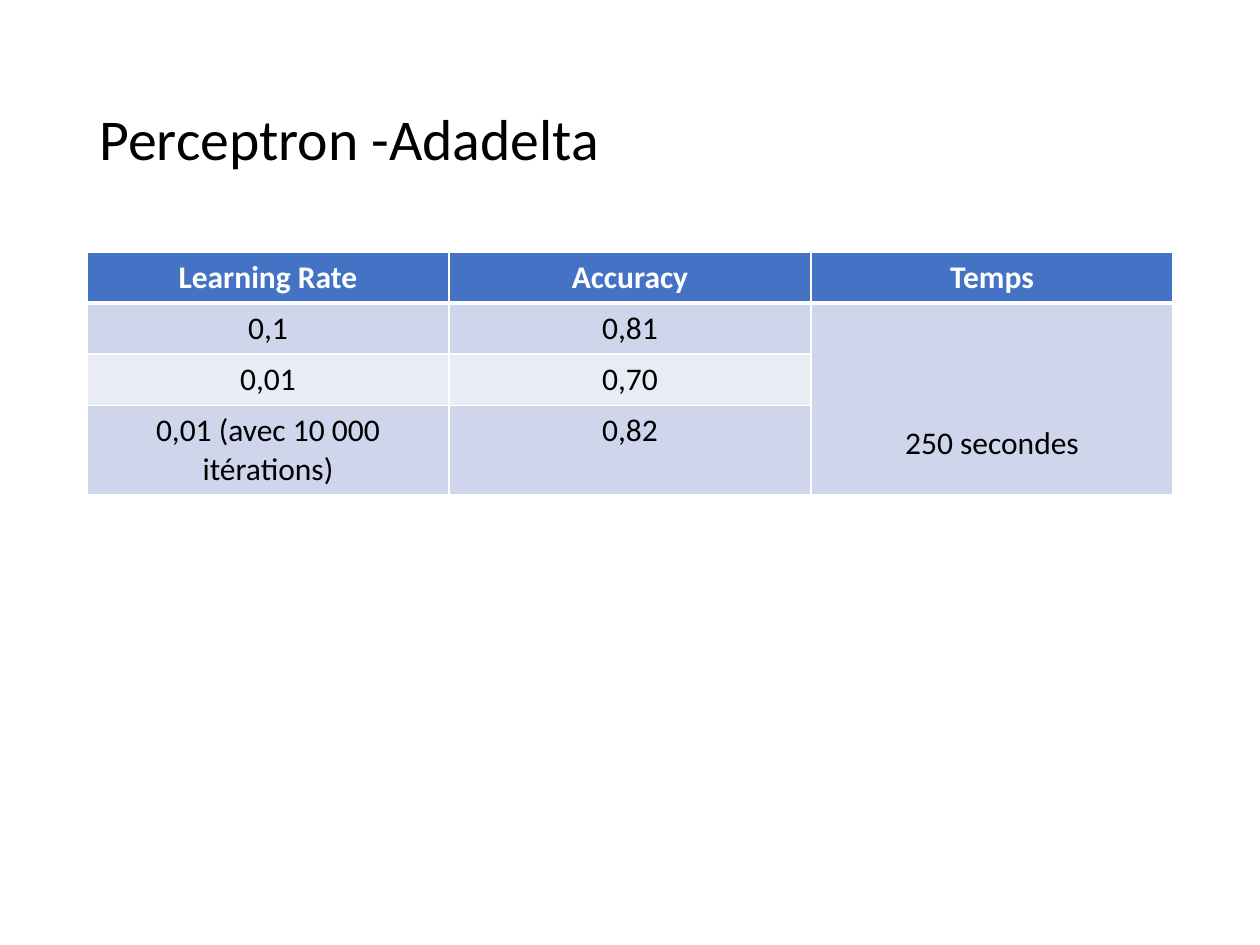
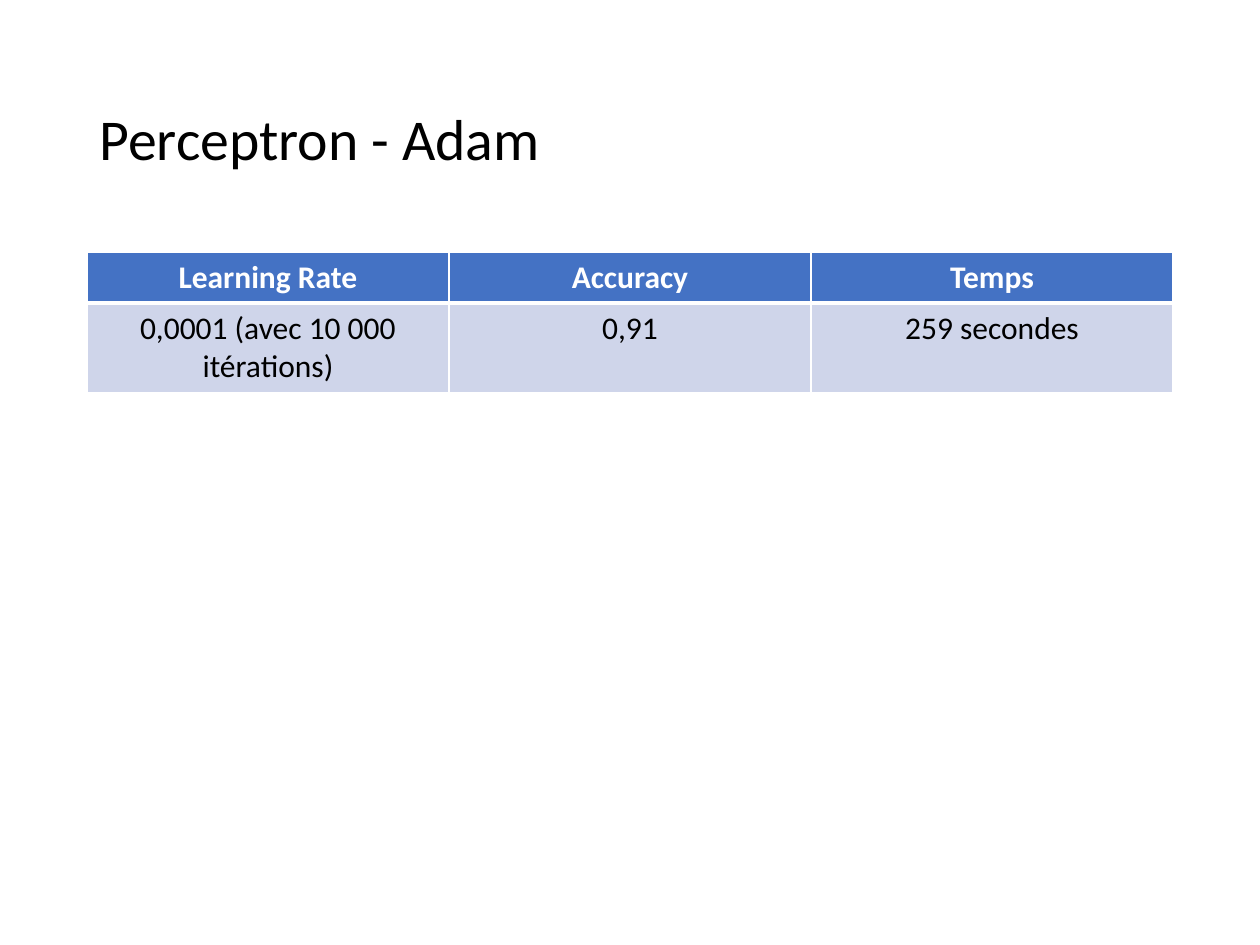
from lxml.etree import SubElement
from pptx import Presentation
from pptx.dml.color import RGBColor
from pptx.enum.text import MSO_ANCHOR as Anchor, MSO_AUTO_SIZE as AutoSize, PP_ALIGN as Align
from pptx.oxml.ns import qn
from pptx.util import Inches, Pt

FONT = "Calibri"
BLACK, WHITE = "000000", "FFFFFF"
HEADER_FILL = "4472C4"
BAND_FILLS = ["CFD5EA", "E9EBF5"]
LEFT, CONTENT_WIDTH = Inches(0.69), Inches(8.62)
TITLE_TOP, TITLE_HEIGHT = Inches(0.4), Inches(1.45)
TABLE_TOP, ROW_HEIGHT = Inches(2), Inches(0.81) // 2
HEADINGS = ["Learning Rate", "Accuracy", "Temps"]


def color(hex_code):
    return RGBColor.from_string(hex_code)


def write(frame, text, size=18, ink=BLACK, bold=False, align=Align.CENTER, spacing=None):
    paragraph = frame.paragraphs[0]
    paragraph.alignment = align
    paragraph.line_spacing = spacing
    run = paragraph.add_run()
    run.text = text
    font = run.font
    font.name, font.size, font.bold = FONT, Pt(size), bold
    font.color.rgb = color(ink)


def add_title(slide, text):
    title = slide.shapes.title
    title.left, title.top = LEFT, TITLE_TOP
    title.width, title.height = CONTENT_WIDTH, TITLE_HEIGHT
    frame = title.text_frame
    frame.auto_size = AutoSize.NONE
    frame.word_wrap = True
    frame.vertical_anchor = Anchor.MIDDLE
    write(frame, text, size=33, align=Align.LEFT, spacing=0.9)


def set_borders(cell, bottom=1):
    properties = cell._tc.get_or_add_tcPr()
    widths = {"a:lnL": 1, "a:lnR": 1, "a:lnT": 1, "a:lnB": bottom}
    for tag, width in widths.items():
        line = SubElement(properties, qn(tag), w=str(Pt(width)))
        fill = SubElement(line, qn("a:solidFill"))
        SubElement(fill, qn("a:srgbClr"), val=WHITE)


def format_cell(cell, text, fill, ink=BLACK, bold=False, bottom=1):
    set_borders(cell, bottom)
    cell.fill.solid()
    cell.fill.fore_color.rgb = color(fill)
    if text:
        write(cell.text_frame, text, ink=ink, bold=bold)


def add_results_table(slide, results):
    row_count = len(results) + 1
    table = slide.shapes.add_table(
        row_count, len(HEADINGS), LEFT, TABLE_TOP, CONTENT_WIDTH, ROW_HEIGHT * row_count
    ).table
    for column, heading in enumerate(HEADINGS):
        format_cell(table.cell(0, column), heading, HEADER_FILL, WHITE, True, bottom=3)
    for row, result in enumerate(results, start=1):
        fill = BAND_FILLS[(row - 1) % 2]
        for column, text in enumerate(result):
            format_cell(table.cell(row, column), text, fill)
    return table


def merge_time_cells(table):
    last_row, last_column = len(table.rows) - 1, len(table.columns) - 1
    time_cell = table.cell(1, last_column)
    time_cell.merge(table.cell(last_row, last_column))
    time_cell.vertical_anchor = Anchor.BOTTOM
    time_cell.margin_bottom = Inches(0.25)


def add_results_slide(presentation, title, results):
    slide = presentation.slides.add_slide(presentation.slide_layouts[5])
    add_title(slide, title)
    return add_results_table(slide, results)


def main():
    presentation = Presentation()
    presentation.slide_width, presentation.slide_height = Inches(10), Inches(7.5)
    adadelta_table = add_results_slide(presentation, "Perceptron -Adadelta", [
        ["0,1", "0,81", "250 secondes"],
        ["0,01", "0,70", ""],
        ["0,01 (avec 10 000 itérations)", "0,82", ""],
    ])
    merge_time_cells(adadelta_table)
    add_results_slide(presentation, "Perceptron - Adam", [
        ["0,0001 (avec 10 000 itérations)", "0,91", "259 secondes"],
    ])
    presentation.save("out.pptx")


if __name__ == "__main__":
    main()
